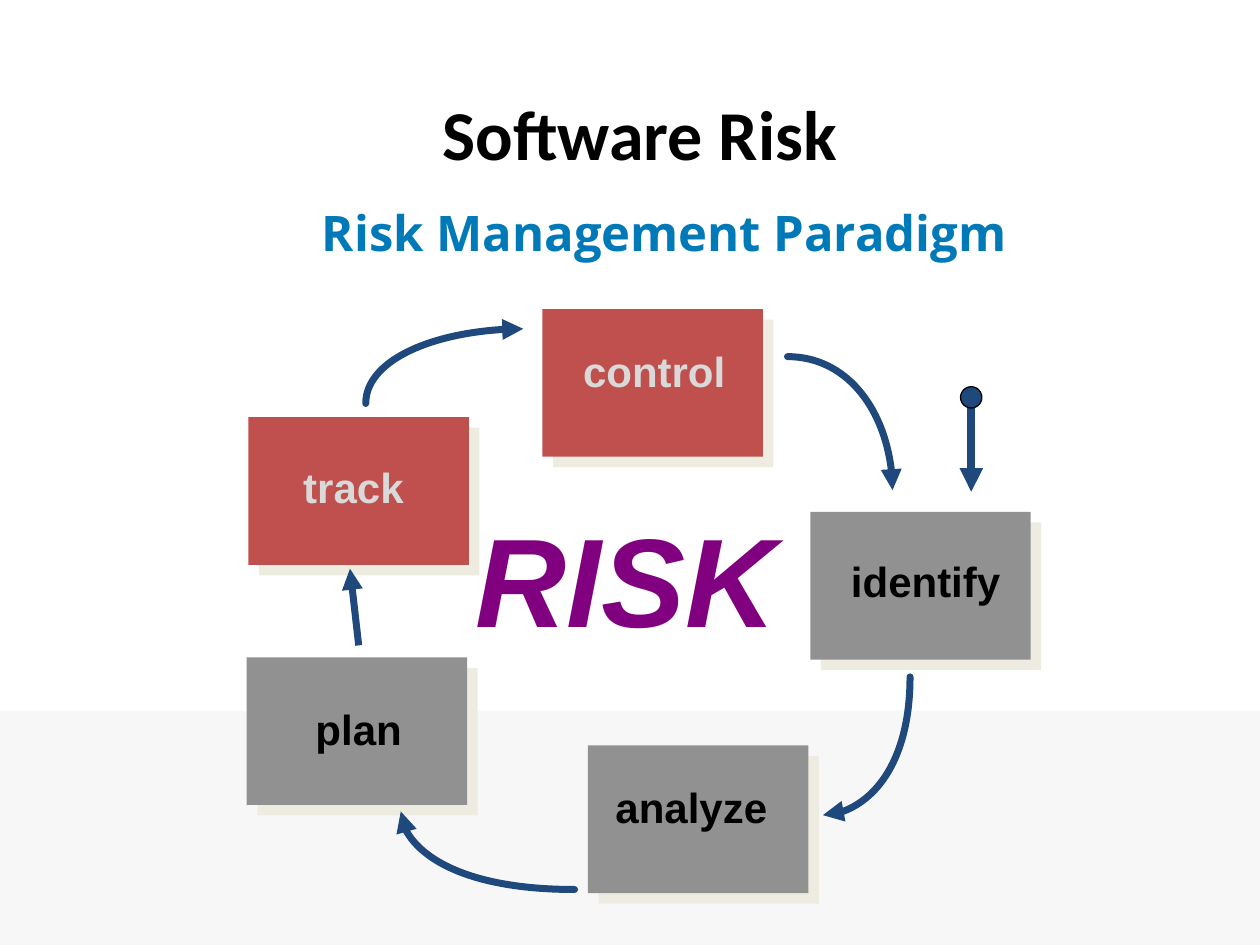
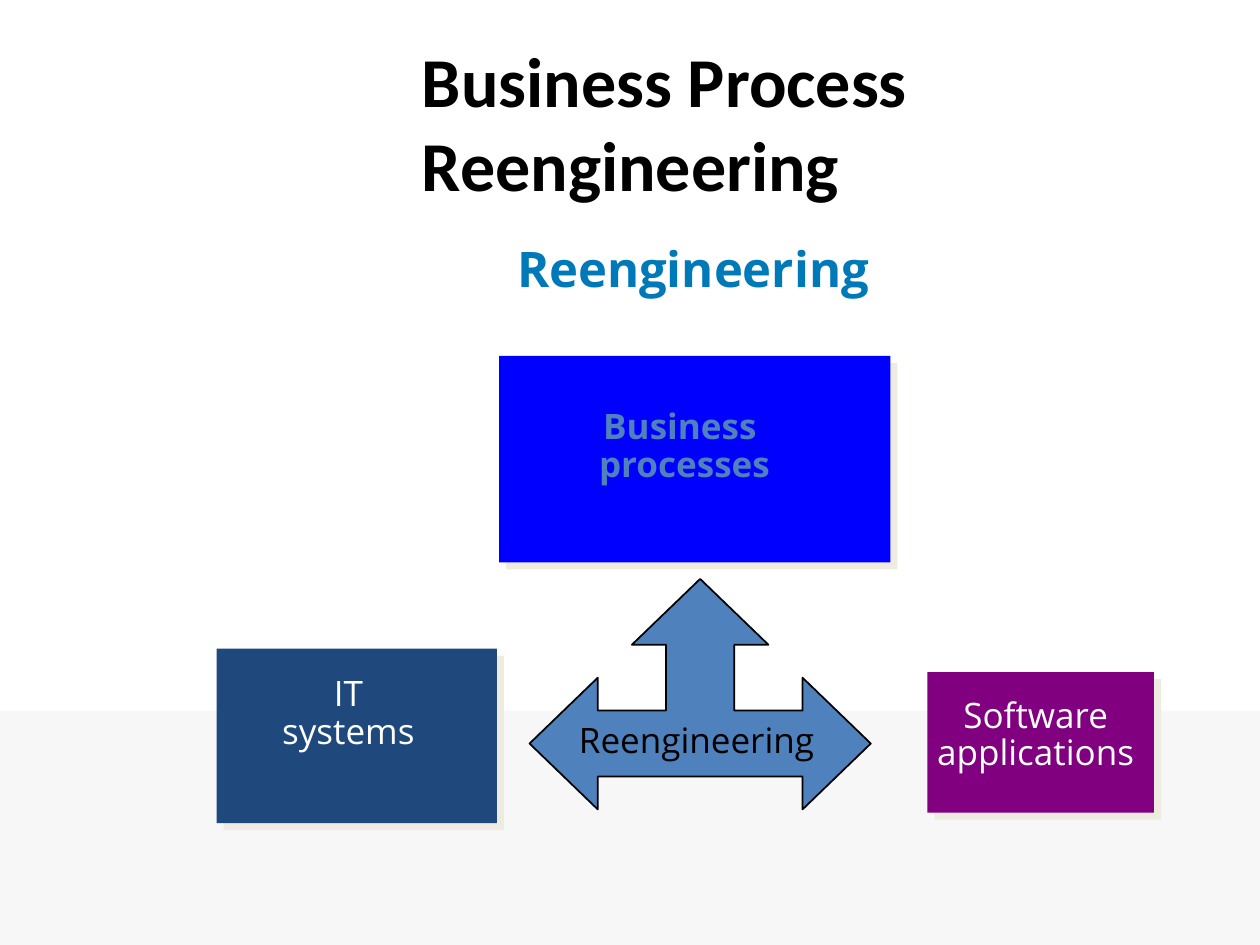
from lxml.etree import SubElement
from pptx import Presentation
from pptx.dml.color import RGBColor
from pptx.enum.shapes import MSO_CONNECTOR, MSO_SHAPE
from pptx.enum.text import MSO_ANCHOR, MSO_AUTO_SIZE, PP_ALIGN
from pptx.oxml.ns import qn
from pptx.util import Pt

COLORS = {
    "band": "F7F7F7", "black": "000000", "white": "FFFFFF",
    "heading": "0079B8", "shadow": "EEECE1", "navy": "1F497D",
    "grey": "919191", "red": "C0504D", "pale": "D9D9D9",
    "purple": "800080", "blue": "0000FF", "steel": "4F81BD",
}
QUARTER = 0.55  # control point distance for a quarter ellipse


def rgb(name):
    return RGBColor.from_string(COLORS[name])


def write_text(frame, text, size=24, font="Arial", color="black", bold=False,
               italic=False, align=PP_ALIGN.LEFT, spacing=None):
    """Fill a text frame, one paragraph for each line of text."""
    for index, line in enumerate(text.split("\n")):
        paragraph = frame.paragraphs[0] if index == 0 else frame.add_paragraph()
        paragraph.alignment = align
        if spacing:
            paragraph.line_spacing = spacing
        run = paragraph.add_run()
        run.text = line
        run.font.size = Pt(size)
        run.font.name = font
        run.font.bold = bold
        run.font.italic = italic
        run.font.color.rgb = rgb(color)


class Deck:
    def __init__(self):
        self.presentation = Presentation()
        self.presentation.slide_width = Pt(720)
        self.presentation.slide_height = Pt(540)
        self.slide = None

    def add_slide(self, title, title_at, heading, heading_at):
        layout = self.presentation.slide_layouts[6]
        self.slide = self.presentation.slides.add_slide(layout)
        self.shape((0, 406, 720, 134), "band")
        self.text(title, title_at, wrap=True, size=40, font="Calibri", bold=True)
        self.text(heading, heading_at, wrap=True, anchor=MSO_ANCHOR.MIDDLE,
                  size=28, font="Open Sans", color="heading", bold=True,
                  align=PP_ALIGN.CENTER)

    def text(self, text, box, wrap=False, anchor=MSO_ANCHOR.TOP, fill=None,
             **style):
        shape = self.slide.shapes.add_textbox(*map(Pt, box))
        if fill:
            shape.fill.solid()
            shape.fill.fore_color.rgb = rgb(fill)
        frame = shape.text_frame
        frame.word_wrap = wrap
        frame.auto_size = MSO_AUTO_SIZE.NONE if wrap else MSO_AUTO_SIZE.SHAPE_TO_FIT_TEXT
        frame.vertical_anchor = anchor
        write_text(frame, text, **style)

    def label(self, text, box, **style):
        """Add unwrapped text, with a point to spare on either side."""
        left, top, width, height = box
        self.text(text, (left - 1, top, width + 2, height), spacing=0.9, **style)

    def shape(self, box, fill, kind=MSO_SHAPE.RECTANGLE, line=None, shadow=0):
        shape = self.slide.shapes.add_shape(kind, *map(Pt, box))
        self.paint(shape, fill, line, 0.75)
        if shadow:
            effects = shape._element.spPr.find(qn("a:effectLst"))
            outer = SubElement(effects, qn("a:outerShdw"), blurRad="0",
                               dist=str(Pt(shadow)), dir="2700000",
                               algn="ctr", rotWithShape="0")
            SubElement(outer, qn("a:srgbClr"), val=COLORS["shadow"])

    def paint(self, shape, fill, line, width):
        shape.shadow.inherit = False
        if fill:
            shape.fill.solid()
            shape.fill.fore_color.rgb = rgb(fill)
        else:
            shape.fill.background()
        if line:
            shape.line.color.rgb = rgb(line)
            shape.line.width = Pt(width)
        else:
            shape.line.fill.background()

    def outline(self, points, fill=None, line="black", width=1, close=True):
        points = [(Pt(x), Pt(y)) for x, y in points]
        builder = self.slide.shapes.build_freeform(*points[0])
        builder.add_line_segments(points[1:], close=close)
        shape = builder.convert_to_shape()
        self.paint(shape, fill, line, width)
        return shape

    def add_arrowhead(self, shape):
        line = shape._element.spPr.find(qn("a:ln"))
        SubElement(line, qn("a:round"))
        SubElement(line, qn("a:tailEnd"), type="triangle")
        return line

    def curved_arrow(self, start, end, horizontal):
        """Draw a quarter ellipse that leaves start horizontally or vertically."""
        (x, y), (end_x, end_y) = start, end
        corner_x, corner_y = (end_x, y) if horizontal else (x, end_y)
        controls = [(px + (corner_x - px) * QUARTER, py + (corner_y - py) * QUARTER)
                    for px, py in (start, end)]
        shape = self.outline([start, *controls, end], line="navy", width=4,
                             close=False)
        # Turn the three straight segments into one curve
        segments = list(shape._element.iter(qn("a:lnTo")))
        curve = SubElement(segments[0].getparent(), qn("a:cubicBezTo"))
        for segment in segments:
            curve.append(segment[0])
            segment.getparent().remove(segment)
        self.add_arrowhead(shape).set("cap", "rnd")

    def straight_arrow(self, start, end, width):
        connector = self.slide.shapes.add_connector(
            MSO_CONNECTOR.STRAIGHT, *map(Pt, (*start, *end)))
        connector.line.color.rgb = rgb("navy")
        connector.line.width = Pt(width)
        self.add_arrowhead(connector)
        SubElement(connector._element.spPr, qn("a:effectLst"))


def build_risk_slide(deck):
    deck.add_slide("Software Risk", (246, 48.2, 473.8, 55.4),
                   "Risk Management Paradigm", (90, 102, 579, 61.2))
    deck.label("RISK", (265.7, 293, 186.5, 85), size=72, color="purple",
               bold=True, italic=True)

    # Steps: name, box corner, label corner and width, fill, text colour
    steps = [
        ("identify", (463, 292.5), (480.2, 317.3, 99.4), "grey", "black"),
        ("control", (310, 176.6), (327.1, 197.3, 95.8), "red", "pale"),
        ("track", (141.9, 238.4), (167.2, 263.5, 72), "red", "pale"),
        ("plan", (141, 375.6), (174.2, 401.8, 63.4), "grey", "black"),
        ("analyze", (336, 426), (345.6, 446.4, 100.8), "grey", "black"),
    ]
    for _, corner, _, fill, _ in steps:
        deck.shape((*corner, 126, 84.4), fill, shadow=8.5)

    # Arrows around the cycle
    deck.curved_arrow((450, 203.8), (510, 280.1), horizontal=True)
    deck.curved_arrow((520, 386.8), (470.2, 465.8), horizontal=False)
    deck.curved_arrow((328.3, 508.3), (229, 463.7), horizontal=True)
    deck.curved_arrow((209, 230.6), (299, 187.9), horizontal=False)
    deck.straight_arrow((205, 368.8), (200, 325), 4)

    for name, _, label_at, fill, color in steps:
        deck.label(name, (*label_at, 33.1), color=color, bold=True,
                   fill=fill if name == "analyze" else None)

    # Entry point
    deck.straight_arrow((555, 226.8), (555, 281), 4.5)
    deck.shape((548.9, 221, 12.2, 12.2), "navy", MSO_SHAPE.OVAL, line="black")


def build_reengineering_slide(deck):
    deck.add_slide("Business Process\nReengineering", (234, 18, 473.8, 103.7),
                   "Reengineering", (72, 126, 648, 54))

    # Boxes
    for box, fill in [((285.2, 203.4, 223.6, 118), "blue"),
                      ((123.8, 370.7, 160.2, 99.7), "navy"),
                      ((530, 384, 129.5, 80.3), "purple")]:
        deck.shape(box, fill, shadow=5.7)

    # Three-way arrow on a grid of 10 columns and 7 rows
    grid = [(5, 0), (3, 2), (4, 2), (4, 4), (2, 4), (2, 3), (0, 5), (2, 7),
            (2, 6), (8, 6), (8, 7), (10, 5), (8, 3), (8, 4), (6, 4), (6, 2),
            (7, 2)]
    deck.outline([(302.6 + 19.5 * column, 330.8 + 18.82 * row)
                  for column, row in grid], fill="steel")

    # Labels
    for text, box, color, bold in [
        ("Business \nprocesses", (335, 230.4, 112.3, 50.4), "steel", True),
        ("IT\nsystems", (154.1, 383, 90, 50.4), "white", False),
        ("Software\napplications", (528.5, 395.3, 126.7, 50.4), "white", False),
    ]:
        deck.label(text, box, size=20, font="Open Sans", color=color,
                   bold=bold, align=PP_ALIGN.CENTER)
    deck.label("Reengineering", (324.7, 409.7, 149, 28.8), size=20,
               font="Open Sans")


def main():
    deck = Deck()
    build_risk_slide(deck)
    build_reengineering_slide(deck)
    deck.presentation.save("out.pptx")


if __name__ == "__main__":
    main()
